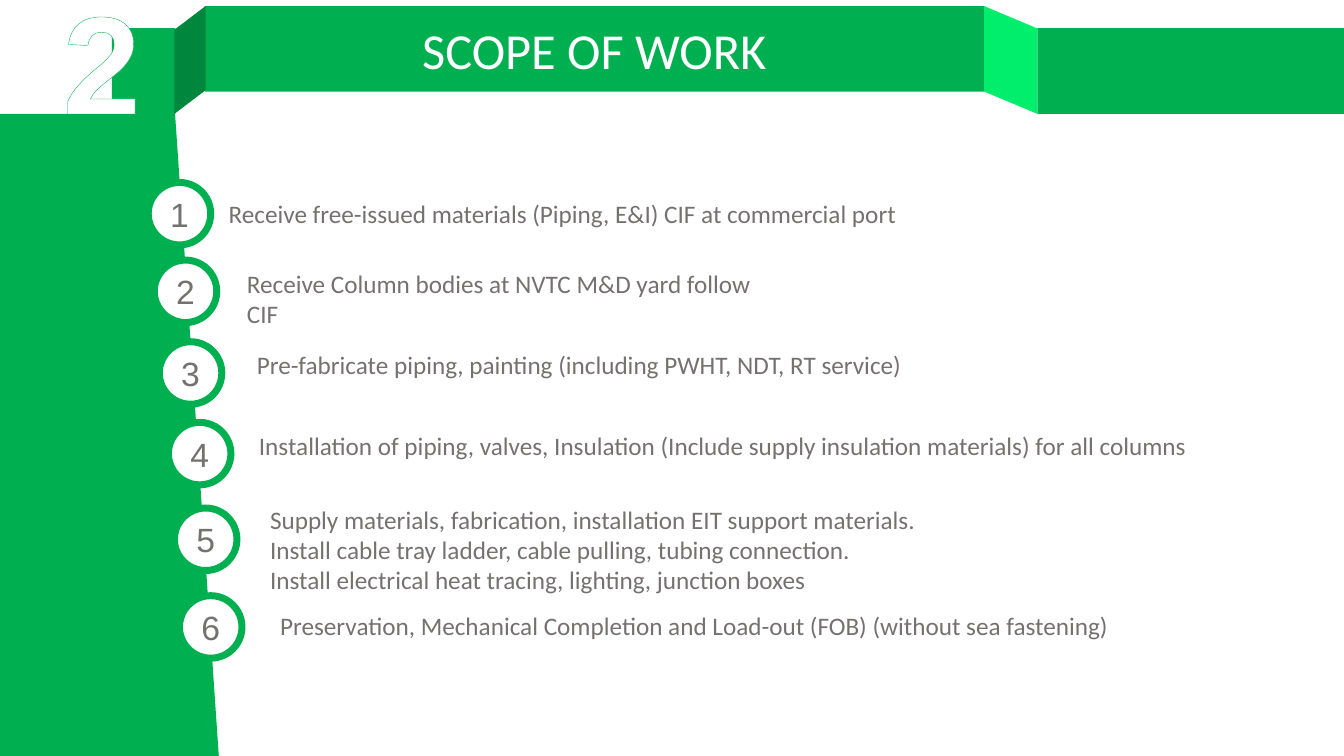
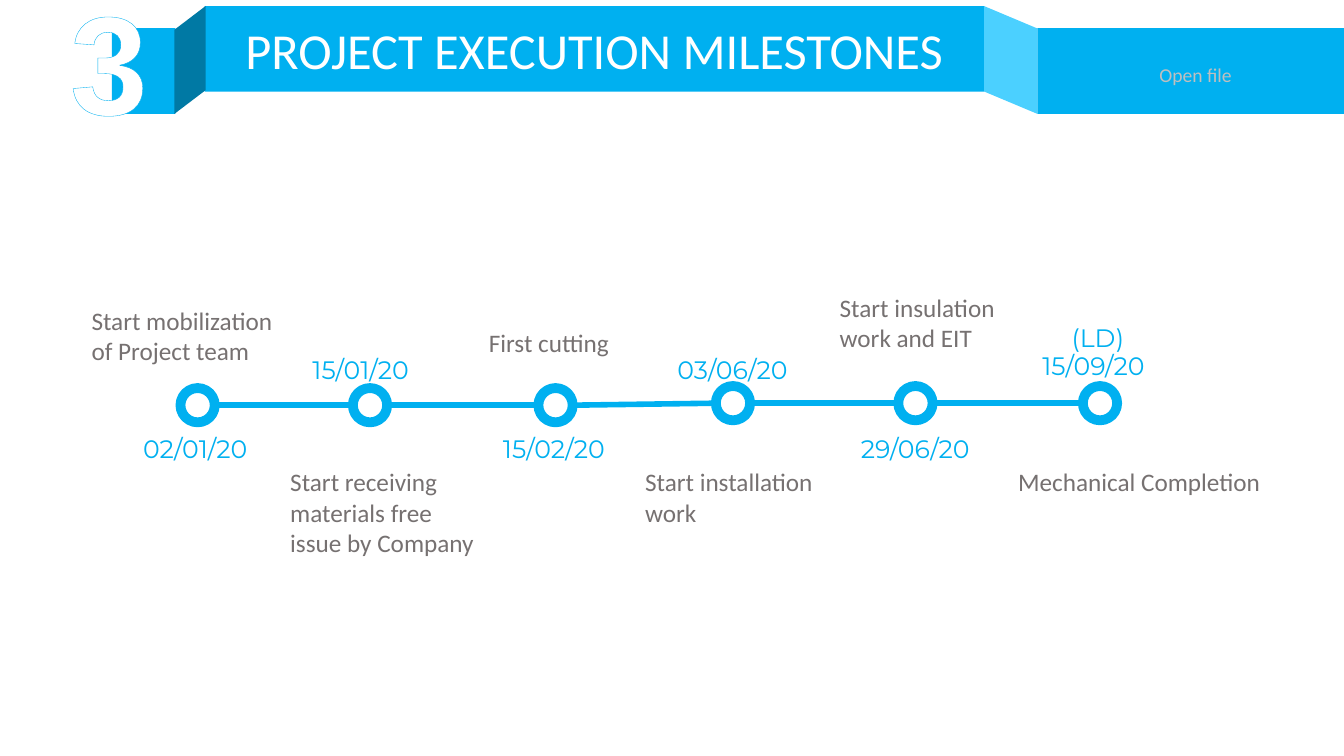
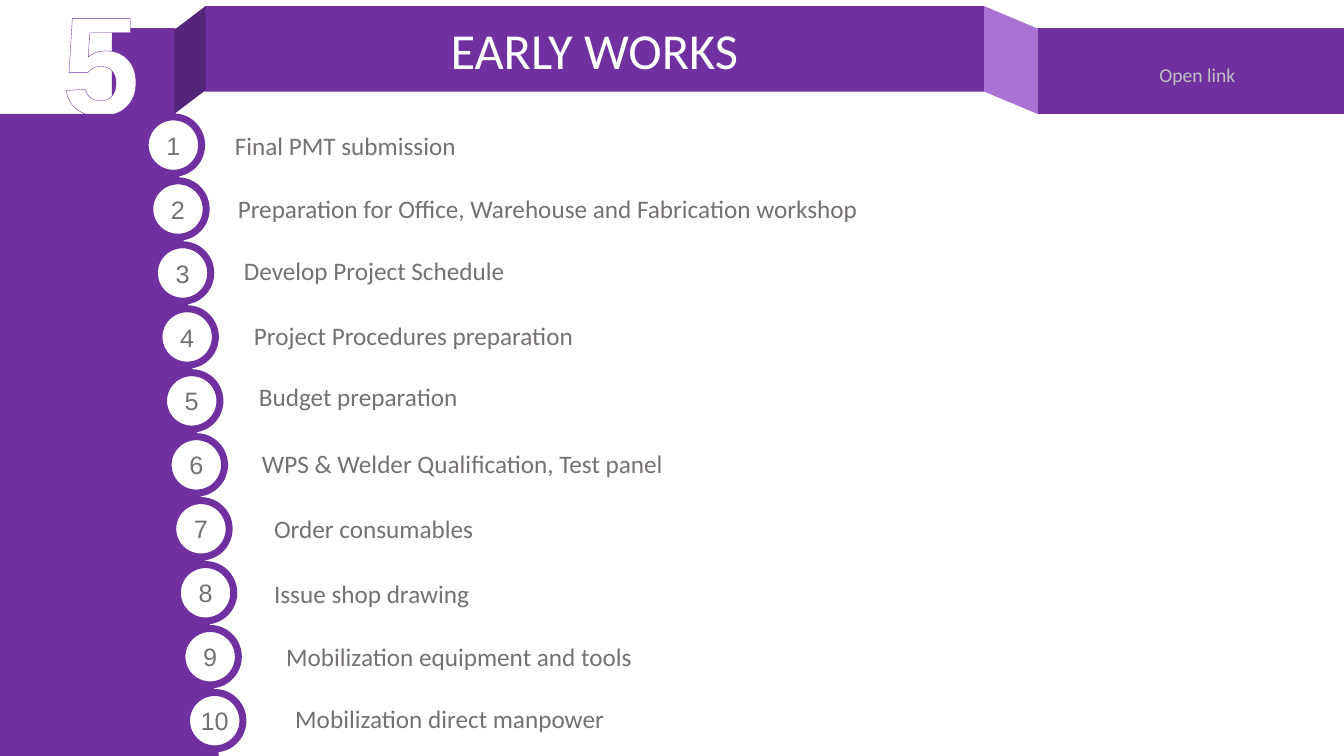
import dataclasses

import lxml.etree
import pptx
import pptx.dml.color
import pptx.enum.shapes
import pptx.enum.text
import pptx.oxml.ns
import pptx.util

Inches = pptx.util.Inches
Pt = pptx.util.Pt
MSO_SHAPE = pptx.enum.shapes.MSO_SHAPE
PP_ALIGN = pptx.enum.text.PP_ALIGN
MSO_ANCHOR = pptx.enum.text.MSO_ANCHOR


@dataclasses.dataclass(frozen=True)
class Theme:
    body_font: str = "Calibri"
    number_font: str = "Arial"
    date_font: str = "Montserrat"
    white: str = "FFFFFF"
    grey: str = "767171"
    pale_grey: str = "BFBFBF"
    title_size: int = 36
    section_size: int = 100
    body_size: int = 18
    note_size: int = 14
    badge_line: int = 5
    node_line: int = 7
    link_line: int = 4
    section_outline: float = 4.5


@dataclasses.dataclass(frozen=True)
class Palette:
    main: str
    dark: str
    light: str


THEME = Theme()
GREEN = Palette("00B050", "00863D", "00EE6C")
BLUE = Palette("00B0F0", "0079A4", "4BD0FF")
PURPLE = Palette("7030A0", "552579", "AA72D4")

# Lines of text, text left, text top, text width
SCOPE_ITEMS = [
    (["Receive free-issued materials (Piping, E&I) CIF at commercial port"], 2.17, 1.92, 6.9),
    (["Receive Column bodies at NVTC M&D yard follow CIF"], 2.35, 2.61, 5.55),
    (["Pre-fabricate piping, painting (including PWHT, NDT, RT service)"], 2.45, 3.42, 6.62),
    (["Installation of piping, valves, Insulation (Include supply insulation materials) "
      "for all columns"], 2.47, 4.22, 9.47),
    (["Supply materials, fabrication, installation EIT support materials.",
      "Install cable tray ladder, cable pulling, tubing connection.",
      "Install electrical heat tracing, lighting, junction boxes"], 2.58, 4.95, 6.73),
    (["Preservation, Mechanical Completion and Load-out (FOB) (without sea fastening)"],
     2.68, 6.01, 8.52),
]
SCOPE_BADGES = [(1.47, 1.81), (1.53, 2.58), (1.58, 3.39), (1.67, 4.19), (1.73, 5.04), (1.78, 5.91)]

EARLY_ITEMS = [
    (["Final PMT submission"], 2.23, 1.24, 2.42),
    (["Preparation for Office, Warehouse and Fabrication workshop"], 2.26, 1.87, 6.48),
    (["Develop Project Schedule"], 2.32, 2.48, 2.82),
    (["Project Procedures preparation"], 2.42, 3.13, 3.4),
    (["Budget preparation"], 2.47, 3.73, 2.2),
    (["WPS & Welder Qualification, Test panel"], 2.5, 4.4, 4.23),
    (["Order consumables"], 2.62, 5.04, 2.2),
    (["Issue shop drawing"], 2.62, 5.69, 2.16),
    (["Mobilization equipment and tools"], 2.74, 6.31, 3.67),
    (["Mobilization direct manpower"], 2.83, 6.93, 3.3),
]
EARLY_FIRST, EARLY_LAST = (1.44, 1.16), (1.85, 6.87)

# Node centre, date, date left and top, caption, caption left, top, width and rows
MILESTONES = [
    ((1.96, 4.02), "02/01/20", (1.32, 4.25),
     "Start mobilization of Project team", (0.81, 2.98, 2.13, 2)),
    ((3.67, 4.02), "15/01/20", (3, 3.47),
     "Start receiving materials free issue by Company", (2.78, 4.58, 2.11, 3)),
    ((5.51, 4.02), "15/02/20", (4.89, 4.25), "First cutting", (4.75, 3.2, 1.97, 1)),
    ((7.27, 4), "03/06/20", (6.62, 3.47), "Start installation work", (6.3, 4.58, 2.2, 2)),
    ((9.08, 4), "29/06/20", (8.44, 4.25), "Start insulation work and EIT", (8.23, 2.85, 2.27, 2)),
    ((10.91, 4), "15/09/20", (10.24, 3.43), "Mechanical Completion", (10, 4.58, 3.05, 1)),
]
DEADLINE_MARK = ("(LD)", 10.53, 3.15, 0.8)

NODE = 0.34
DATE_WIDTH = 1.35
BAND_HEIGHT = 0.85
FOLD_HEIGHT = 1.07


def rgb(colour):
    return pptx.dml.color.RGBColor.from_string(colour)


def write(frame, lines, size, colour, font=THEME.body_font, align=PP_ALIGN.LEFT):
    """Fill a text frame, one paragraph a line, and return the last run."""
    frame.word_wrap = True
    for index, line in enumerate(lines):
        paragraph = frame.add_paragraph() if index else frame.paragraphs[0]
        paragraph.alignment = align
        run = paragraph.add_run()
        run.text = line
        run.font.size = Pt(size)
        run.font.name = font
        run.font.color.rgb = rgb(colour)
    return run


def add_text(slide, lines, left, top, width, rows=1, size=THEME.body_size,
             colour=THEME.grey, font=THEME.body_font):
    height = 0.1 + rows * size / 60
    box = slide.shapes.add_textbox(Inches(left), Inches(top), Inches(width), Inches(height))
    write(box.text_frame, lines, size, colour, font)


def add_preset(slide, kind, left, top, width, height, fill=None, line=None, line_width=0):
    shape = slide.shapes.add_shape(kind, Inches(left), Inches(top), Inches(width), Inches(height))
    shape.shadow.inherit = False
    if fill:
        shape.fill.solid()
        shape.fill.fore_color.rgb = rgb(fill)
    else:
        shape.fill.background()
    if line:
        shape.line.color.rgb = rgb(line)
        shape.line.width = Pt(line_width)
    else:
        shape.line.fill.background()
    return shape


def add_turned(slide, kind, left, top, width, height, fill, rotation):
    """Add a quarter-turned shape that covers the given upright area."""
    shape = add_preset(slide, kind, left + (width - height) / 2, top + (height - width) / 2,
                       height, width, fill)
    shape.rotation = rotation
    return shape


def add_section_number(slide, number, left, colour):
    box = slide.shapes.add_textbox(Inches(left), Inches(-0.3), Inches(1.3), Inches(1.78))
    run = write(box.text_frame, [number], THEME.section_size, THEME.white,
                THEME.number_font, PP_ALIGN.CENTER)
    run.font.bold = True
    qn = pptx.oxml.ns.qn
    outline = lxml.etree.Element(qn("a:ln"), w=str(int(Pt(THEME.section_outline))))
    fill = lxml.etree.SubElement(outline, qn("a:solidFill"))
    lxml.etree.SubElement(fill, qn("a:srgbClr"), val=colour)
    run.font._element.insert(0, outline)


def add_ribbon_slide(deck, title, number, number_left, palette, note=None):
    slide = deck.slides.add_slide(deck.slide_layouts[5])
    heading = slide.shapes.title
    heading.left, heading.top = Inches(2.03), Inches(0.06)
    heading.width, heading.height = Inches(7.73), Inches(BAND_HEIGHT)
    heading.fill.solid()
    heading.fill.fore_color.rgb = rgb(palette.main)
    heading.text_frame.auto_size = pptx.enum.text.MSO_AUTO_SIZE.NONE
    heading.text_frame.vertical_anchor = MSO_ANCHOR.MIDDLE
    write(heading.text_frame, [title], THEME.title_size, THEME.white, align=PP_ALIGN.CENTER)

    for left, width in [(1.11, 0.63), (10.29, 3.04)]:
        add_preset(slide, MSO_SHAPE.RECTANGLE, left, 0.28, width, BAND_HEIGHT, palette.main)
    left_fold = add_turned(slide, MSO_SHAPE.PARALLELOGRAM, 1.73, 0.06, 0.31, FOLD_HEIGHT,
                           palette.dark, 270)
    left_fold.adjustments[0] = 0.76
    left_fold._element.spPr.xfrm.set("flipV", "1")
    right_fold = add_turned(slide, MSO_SHAPE.PARALLELOGRAM, 9.76, 0.06, 0.53, FOLD_HEIGHT,
                            palette.light, 270)
    right_fold.adjustments[0] = 0.42
    add_section_number(slide, number, number_left, palette.main)
    if note:
        add_text(slide, [note], 11.4, 0.57, 1.46, size=THEME.note_size, colour=THEME.pale_grey)
    return slide


def add_numbered_list(slide, items, badges, diameter, number_size, colour):
    add_turned(slide, MSO_SHAPE.FLOWCHART_MANUAL_INPUT, 0, 1.13, 2.17, 6.37, colour, 90)
    for number, (item, badge_at) in enumerate(zip(items, badges), start=1):
        badge = add_preset(slide, MSO_SHAPE.OVAL, *badge_at, diameter, diameter,
                           THEME.white, colour, THEME.badge_line)
        frame = badge.text_frame
        frame.margin_left = frame.margin_right = 0
        frame.vertical_anchor = MSO_ANCHOR.MIDDLE
        write(frame, [str(number)], number_size, THEME.grey, THEME.number_font, PP_ALIGN.CENTER)
        lines, left, top, width = item
        add_text(slide, lines, left, top, width, len(lines))


def add_timeline(slide, colour):
    centres = [milestone[0] for milestone in MILESTONES]
    for (x1, y1), (x2, y2) in zip(centres, centres[1:]):
        link = slide.shapes.add_connector(
            pptx.enum.shapes.MSO_CONNECTOR.STRAIGHT,
            Inches(x1 + NODE / 2), Inches(y1), Inches(x2 - NODE / 2), Inches(y2))
        link.line.color.rgb = rgb(colour)
        link.line.width = Pt(THEME.link_line)
        lxml.etree.SubElement(link._element.spPr, pptx.oxml.ns.qn("a:effectLst"))
    for (x, y), date, date_at, caption, caption_area in MILESTONES:
        add_preset(slide, MSO_SHAPE.OVAL, x - NODE / 2, y - NODE / 2, NODE, NODE,
                   line=colour, line_width=THEME.node_line)
        add_text(slide, [date], *date_at, DATE_WIDTH, colour=colour, font=THEME.date_font)
        add_text(slide, [caption], *caption_area)
    mark, *mark_area = DEADLINE_MARK
    add_text(slide, [mark], *mark_area, colour=colour, font=THEME.date_font)


def spread(first, last, count):
    """Return evenly spaced points from first to last."""
    return [tuple(a + (b - a) * i / (count - 1) for a, b in zip(first, last))
            for i in range(count)]


def main():
    deck = pptx.Presentation()
    deck.slide_width, deck.slide_height = Inches(13.33), Inches(7.5)

    scope = add_ribbon_slide(deck, "SCOPE OF WORK", "2", 0.36, GREEN)
    add_numbered_list(scope, SCOPE_ITEMS, SCOPE_BADGES, 0.62, 24, GREEN.main)

    schedule = add_ribbon_slide(deck, "PROJECT EXECUTION MILESTONES", "3", 0.43, BLUE, "Open file")
    add_timeline(schedule, BLUE.main)

    early = add_ribbon_slide(deck, "EARLY WORKS", "5", 0.35, PURPLE, "Open link")
    early_badges = spread(EARLY_FIRST, EARLY_LAST, len(EARLY_ITEMS))
    add_numbered_list(early, EARLY_ITEMS, early_badges, 0.56, 18, PURPLE.main)

    deck.save("out.pptx")


if __name__ == "__main__":
    main()
